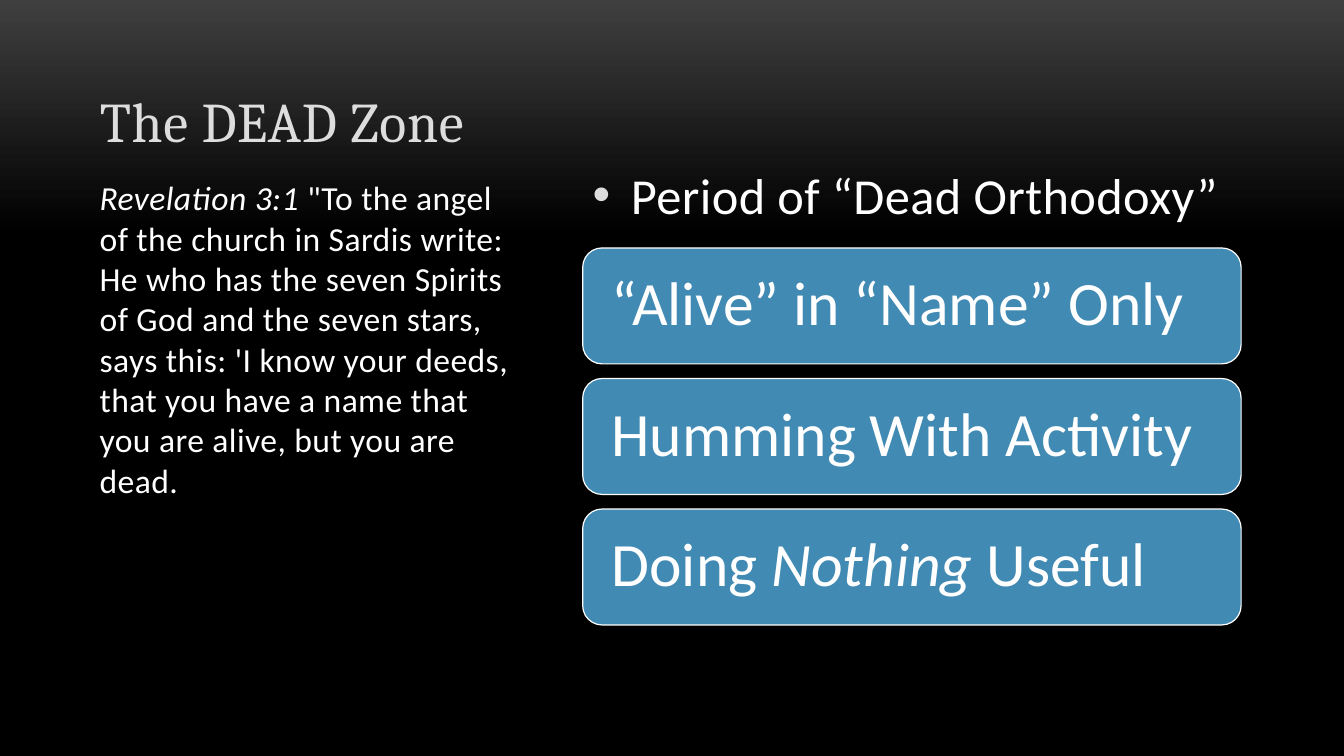
from dataclasses import dataclass

from lxml.etree import SubElement
from pptx import Presentation
from pptx.dml.color import RGBColor
from pptx.enum.shapes import MSO_SHAPE as Shape
from pptx.enum.text import MSO_ANCHOR as Anchor, MSO_AUTO_SIZE as AutoSize, PP_ALIGN as Align
from pptx.oxml.ns import qn
from pptx.util import Inches, Pt


@dataclass(frozen=True)
class Theme:
    """Colours, fonts and type sizes of the slide."""
    glow: str = "3F3F3F"
    black: str = "000000"
    white: str = "FFFFFF"
    silver: str = "DDDDDD"
    blue: str = "418AB3"
    heading_font: str = "Cambria"
    body_font: str = "Calibri"
    title_size: int = 40
    passage_size: int = 24
    bullet_size: int = 36
    card_size: int = 44


THEME = Theme()
PASSAGE = [
    ("Revelation 3:1", True),
    ("\u00a0\"To the angel of the church in Sardis write: He who has the seven "
     "Spirits of God and the seven stars, says this: 'I know your deeds, that "
     "you have a name that you are alive, but you are dead.", False),
]
CARDS = [
    [("“Alive” in “Name” Only", False)],
    [("Humming With Activity", False)],
    [("Doing ", False), ("Nothing ", True), ("Useful", False)],
]


def write_text(shape, runs, size, font=THEME.body_font, color=THEME.white, spacing=0,
               anchor=Anchor.TOP, insets=(0.1, 0.05, 0.1, 0.05), before=0, after=0,
               line_spacing=1.0):
    """Write (text, italic) runs as one formatted paragraph and return it."""
    frame = shape.text_frame
    frame.word_wrap = True
    frame.auto_size = AutoSize.NONE
    frame.vertical_anchor = anchor
    (frame.margin_left, frame.margin_top,
     frame.margin_right, frame.margin_bottom) = map(Inches, insets)
    paragraph = frame.paragraphs[0]
    paragraph.alignment = Align.LEFT
    paragraph.line_spacing = line_spacing
    paragraph.space_before, paragraph.space_after = Pt(before), Pt(after)
    for text, italic in runs:
        run = paragraph.add_run()
        run.text = text
        run.font.name, run.font.size = font, Pt(size)
        run.font.italic = italic
        run.font.color.rgb = RGBColor.from_string(color)
        if spacing:
            run.font._element.set("spc", str(round(spacing * 100)))
    return paragraph


def add_bullet(paragraph, indent, color):
    """Give the paragraph a hanging round bullet."""
    properties = paragraph._p.get_or_add_pPr()
    properties.set("marL", str(Inches(indent)))
    properties.set("indent", str(-Inches(indent)))
    bullet_color = SubElement(properties, qn("a:buClr"))
    SubElement(bullet_color, qn("a:srgbClr"), val=color)
    SubElement(properties, qn("a:buFont"), typeface="Arial")
    SubElement(properties, qn("a:buChar"), char="•")


def paint_background(slide):
    """Fade the background from grey at the top to black."""
    fill = slide.background.fill
    fill.gradient()
    fill.gradient_angle = 270
    stops = [(0, THEME.glow), (0.31, THEME.black)]
    for stop, (position, color) in zip(fill.gradient_stops, stops):
        stop.position = position
        stop.color.rgb = RGBColor.from_string(color)


def add_title(slide, text):
    """Place and format the title placeholder."""
    title = slide.shapes.title
    title.left, title.top = Inches(0.89), Inches(0.5)
    title.width, title.height = Inches(4.33), Inches(1.08)
    write_text(title, [(text, False)], THEME.title_size, font=THEME.heading_font,
               color=THEME.silver, spacing=0.5, anchor=Anchor.BOTTOM)


def add_body(slide, box, runs, size, **text_format):
    """Add a text box in body style and return its paragraph."""
    shape = slide.shapes.add_textbox(*map(Inches, box))
    return write_text(shape, runs, size, spacing=0.3, before=size * 0.2, after=6,
                      **text_format)


def add_card(slide, top, runs):
    """Add a rounded blue card with its statement."""
    card = slide.shapes.add_shape(Shape.ROUNDED_RECTANGLE, Inches(5.78), Inches(top),
                                  Inches(6.53), Inches(1.15))
    card.shadow.inherit = False
    card.fill.solid()
    card.fill.fore_color.rgb = RGBColor.from_string(THEME.blue)
    card.line.color.rgb = RGBColor.from_string(THEME.white)
    card.line.width = Pt(0.85)
    write_text(card, runs, THEME.card_size, anchor=Anchor.MIDDLE,
               insets=(0.23, 0.23, 0.23, 0.23), line_spacing=0.9)


def main():
    """Build and save the slide."""
    presentation = Presentation()
    presentation.slide_width, presentation.slide_height = Inches(13.33), Inches(7.5)
    slide = presentation.slides.add_slide(presentation.slide_layouts[5])
    paint_background(slide)
    add_title(slide, "The DEAD Zone")
    add_body(slide, (0.89, 1.75, 4.33, 4.5), PASSAGE, THEME.passage_size,
             insets=(0.1, 0.01, 0.1, 0.05))
    period = add_body(slide, (5.78, 1.58, 6.78, 0.85),
                      [("Period of “Dead Orthodoxy”", False)], THEME.bullet_size)
    add_bullet(period, 0.38, THEME.silver)
    for index, runs in enumerate(CARDS):
        add_card(slide, 2.46 + index * 1.295, runs)
    presentation.save("out.pptx")


main()
